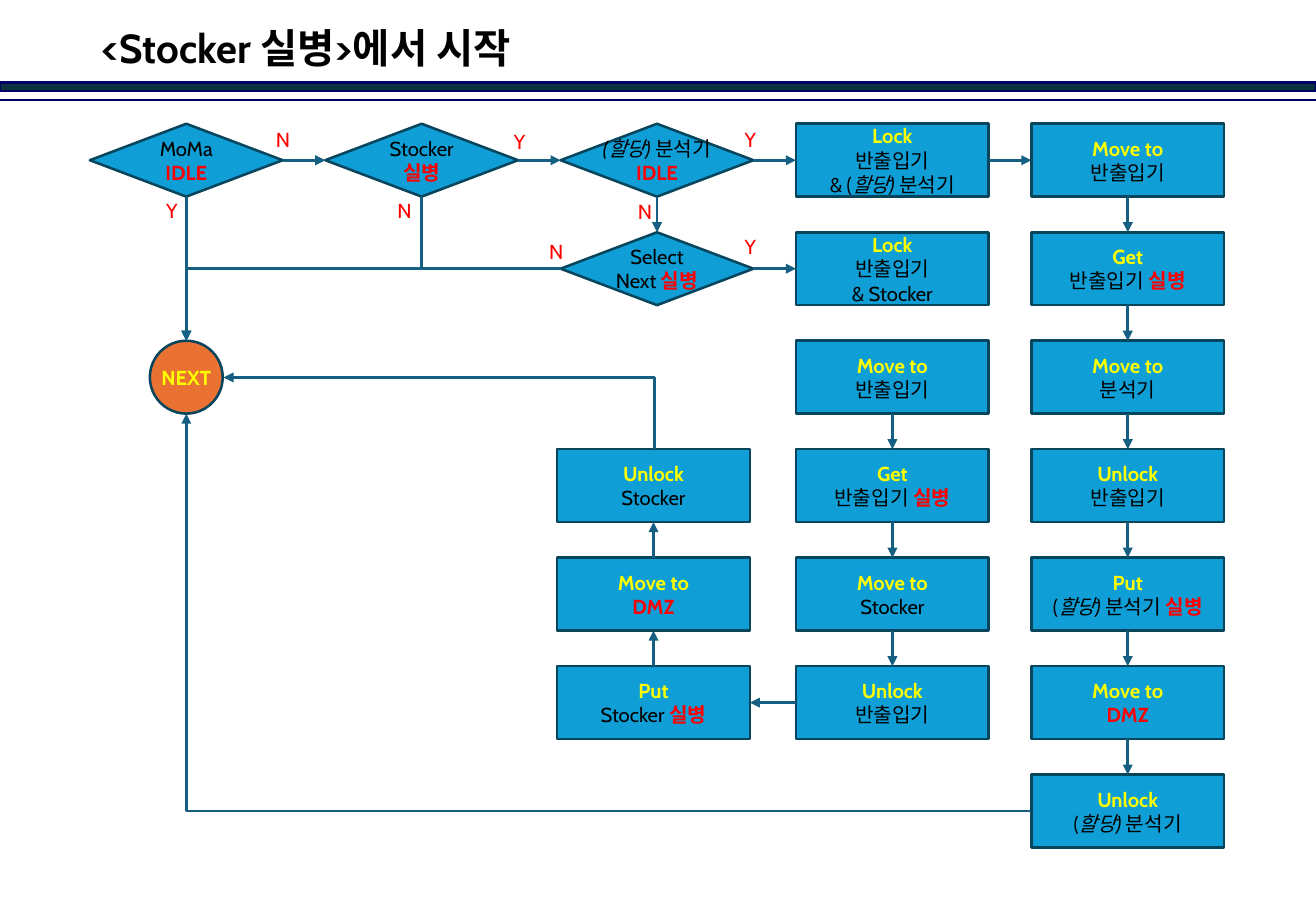
import pptx
import pptx.dml.color
import pptx.enum.shapes
import pptx.enum.text
import pptx.oxml.xmlchemy
import pptx.util
from lxml import etree
from pptx.oxml.ns import qn

Pt = pptx.util.Pt
SHAPES = pptx.enum.shapes.MSO_SHAPE
CONNECTORS = pptx.enum.shapes.MSO_CONNECTOR
ALIGN = pptx.enum.text.PP_ALIGN
MIDDLE = pptx.enum.text.MSO_ANCHOR.MIDDLE
TOP_SIDE, LEFT_SIDE, BOTTOM_SIDE, RIGHT_SIDE = range(4)


def color(value):
    return pptx.dml.color.RGBColor.from_string(value)


def style_connector(connector, line_color, arrow):
    connector.line.color.rgb = color(line_color)
    connector.line.width = Pt(1.5)
    if arrow:
        tail = etree.SubElement(connector.line._get_or_add_ln(), qn("a:tailEnd"))
        tail.set("type", "triangle")
    etree.SubElement(connector._element.spPr, qn("a:effectLst"))


presentation = pptx.Presentation()
presentation.slide_width = Pt(780)
presentation.slide_height = Pt(540)
slide = presentation.slides.add_slide(presentation.slide_layouts[6])
shapes = slide.shapes

header_bar = shapes.add_shape(SHAPES.RECTANGLE, 0, Pt(49), Pt(780), Pt(5))
header_bar.shadow.inherit = False
header_bar.fill.solid()
header_bar.fill.fore_color.rgb = color("0B3041")
header_bar.line.color.rgb = color("000066")
header_bar.line.width = Pt(1.5)
header_line = shapes.add_connector(CONNECTORS.STRAIGHT, 0, Pt(59.2), Pt(780), Pt(59.2))
style_connector(header_line, "000066", False)

title = shapes.add_textbox(Pt(53.3), Pt(10.8), Pt(673), Pt(38.2))
title.text_frame.word_wrap = True
title.text_frame.vertical_anchor = MIDDLE
title.text_frame.text = "<Stocker 실병>에서 시작"
paragraph = title.text_frame.paragraphs[0]
paragraph.line_spacing = 0.9
font = paragraph.runs[0].font
font.name, font.size, font.bold = "Cabin", Pt(24), True
font.color.rgb = color("000000")

column_left, column_pitch = 53.3, 139.5
row_top, row_pitch = 73.4, 64.3
node_width, node_height = 114.3, 43.2
unlock_column = 1.985
marks = {"^": ("FFFF00", True, False), "!": ("FF0000", True, False), "/": ("000000", False, True)}

nodes = [
    (0, 0, SHAPES.DIAMOND, "MoMa\n!IDLE"),
    (1, 0, SHAPES.DIAMOND, "Stocker\n!실병"),
    (2, 0, SHAPES.DIAMOND, "/(할당)| 분석기\n!IDLE"),
    (2, 1, SHAPES.DIAMOND, "Select\nNext |!실병"),
    (0, 2, SHAPES.OVAL, "^NEXT"),
    (3, 0, SHAPES.RECTANGLE, "^Lock\n반출입기\n& (|/할당)| 분석기"),
    (3, 1, SHAPES.RECTANGLE, "^Lock\n반출입기\n& Stocker"),
    (3, 2, SHAPES.RECTANGLE, "^Move to\n반출입기"),
    (3, 3, SHAPES.RECTANGLE, "^Get\n반출입기 |!실병"),
    (3, 4, SHAPES.RECTANGLE, "^Move to\nStocker"),
    (3, 5, SHAPES.RECTANGLE, "^Unlock\n반출입기"),
    (4, 0, SHAPES.RECTANGLE, "^Move to\n반출입기"),
    (4, 1, SHAPES.RECTANGLE, "^Get\n반출입기 |!실병"),
    (4, 2, SHAPES.RECTANGLE, "^Move to\n분석기"),
    (4, 3, SHAPES.RECTANGLE, "^Unlock\n반출입기"),
    (4, 4, SHAPES.RECTANGLE, "^Put\n(|/할당)| 분석기 |!실병"),
    (4, 5, SHAPES.RECTANGLE, "^Move to\n!DMZ"),
    (4, 6, SHAPES.RECTANGLE, "^Unlock\n(|/할당)| 분석기"),
    (unlock_column, 3, SHAPES.RECTANGLE, "^Unlock\nStocker"),
    (unlock_column, 4, SHAPES.RECTANGLE, "^Move to\n!DMZ"),
    (unlock_column, 5, SHAPES.RECTANGLE, "^Put\nStocker |!실병"),
]
node_at = {}
for column, row, kind, text in nodes:
    is_circle = kind == SHAPES.OVAL
    width = node_height if is_circle else node_width
    left = column_left + column * column_pitch + (node_width - width) / 2
    shape = shapes.add_shape(kind, Pt(left), Pt(row_top + row * row_pitch), Pt(width), Pt(node_height))
    shape.shadow.inherit = False
    shape.fill.solid()
    shape.fill.fore_color.rgb = color("E97132" if is_circle else "0F9ED5")
    shape.line.color.rgb = color("07455D")
    shape.line.width = Pt(1.5)
    text_frame = shape.text_frame
    text_frame.word_wrap = False
    text_frame.vertical_anchor = MIDDLE
    lines = text.split("\n")
    text_frame.text = "\n".join([""] * len(lines))
    for paragraph, line in zip(text_frame.paragraphs, lines):
        paragraph.alignment = ALIGN.CENTER
        for piece in line.split("|"):
            text_color, bold, italic = marks.get(piece[0], ("000000", False, False))
            run = paragraph.add_run()
            run.text = piece[1:] if piece[0] in marks else piece
            run.font.name, run.font.size = "Cabin", Pt(12)
            run.font.bold, run.font.italic = bold, italic
            run.font.color.rgb = color(text_color)
    node_at[column, row] = shape

rightward = [((0, 0), (1, 0)), ((1, 0), (2, 0)), ((2, 0), (3, 0)), ((3, 0), (4, 0)), ((2, 1), (3, 1))]
downward = [((0, 0), (0, 2)), ((2, 0), (2, 1))]
downward += [((3, row), (3, row + 1)) for row in range(2, 5)]
downward += [((4, row), (4, row + 1)) for row in range(6)]
upward = [((unlock_column, row), (unlock_column, row - 1)) for row in (5, 4)]
leftward = [((3, 5), (unlock_column, 5))]
for pairs, start_side, end_side in [
    (rightward, RIGHT_SIDE, LEFT_SIDE),
    (downward, BOTTOM_SIDE, TOP_SIDE),
    (upward, TOP_SIDE, BOTTOM_SIDE),
    (leftward, LEFT_SIDE, RIGHT_SIDE),
]:
    for start, end in pairs:
        connector = shapes.add_connector(CONNECTORS.STRAIGHT, 0, 0, 0, 0)
        connector.begin_connect(node_at[start], start_side)
        connector.end_connect(node_at[end], end_side)
        style_connector(connector, "156082", True)

elbows = [
    ("bentConnector3", 137.5, 89.6, 85.4, 139.5, 90, False),
    ("bentConnector2", 110.45, 159.3, 221.85, 42.7, 180, True),
    ("bentConnector2", 238.8, 117.5, 42.7, 255.3, 270, True),
    ("bentConnector2", 110.45, 245.2, 500.85, 235.6, 180, False),
]
for preset, left, top, width, height, rotation, flipped in elbows:
    connector = shapes.add_connector(
        CONNECTORS.ELBOW, Pt(left), Pt(top), Pt(left + width), Pt(top + height)
    )
    properties = connector._element.spPr
    properties.find(qn("a:prstGeom")).set("prst", preset)
    transform = properties.find(qn("a:xfrm"))
    transform.set("rot", str(rotation * 60000))
    if flipped:
        transform.set("flipV", "1")
    style_connector(connector, "156082", True)

branch_labels = [
    ("Y", 91.4, 113.8), ("N", 156.2, 72), ("N", 228.2, 113.8), ("Y", 297.4, 73.4),
    ("N", 318.2, 138.2), ("N", 370.8, 114.5), ("Y", 434.2, 72), ("Y", 434.2, 135.4),
]
for answer, left, top in branch_labels:
    label = shapes.add_textbox(Pt(left), Pt(top), Pt(21 if answer == "Y" else 23), Pt(21.6))
    label.text_frame.word_wrap = False
    label.text_frame.text = answer
    paragraph = label.text_frame.paragraphs[0]
    paragraph.alignment = ALIGN.CENTER
    font = paragraph.runs[0].font
    font.name, font.size = "Cabin", Pt(12)
    font.color.rgb = color("FF0000")

presentation.save("out.pptx")
